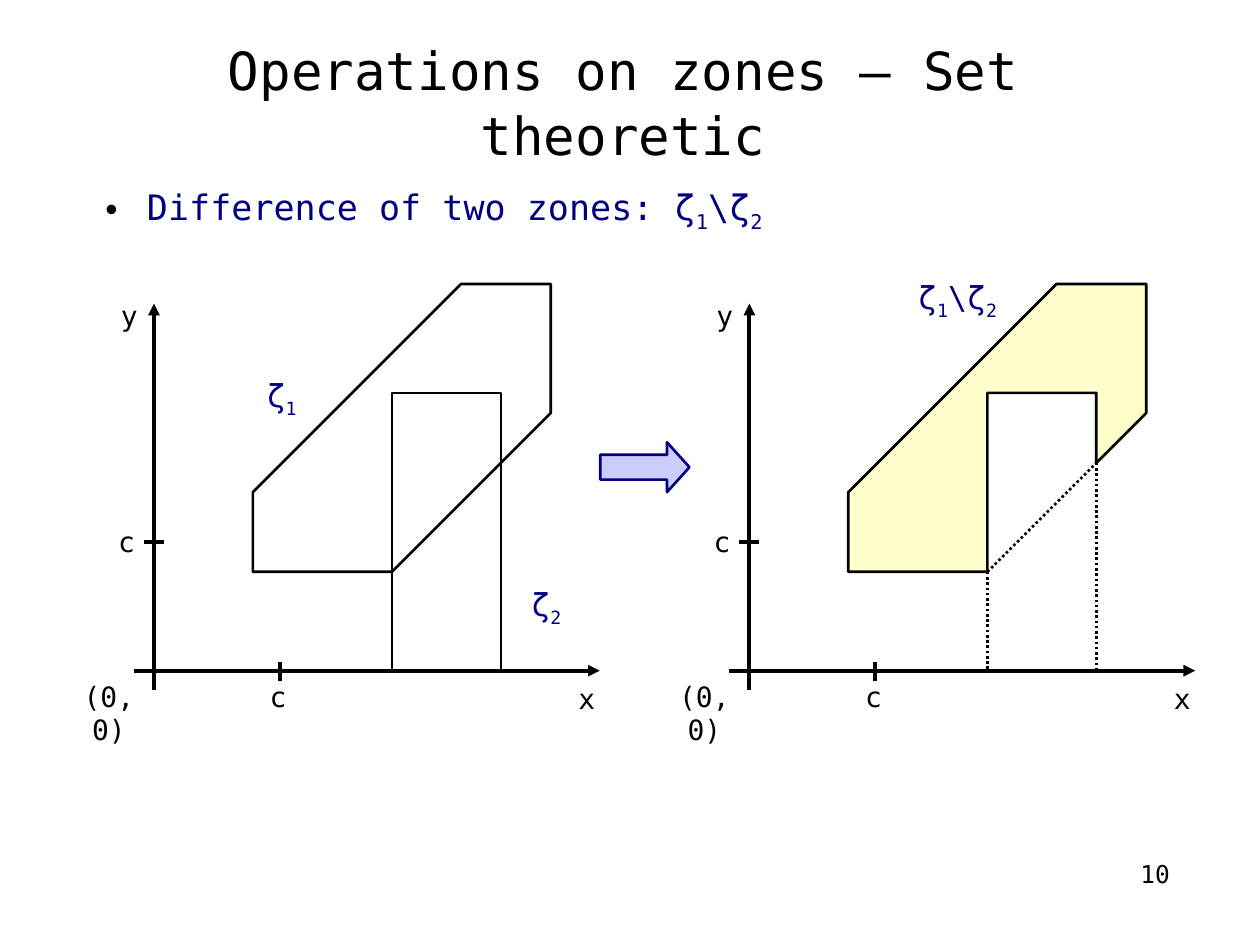
from lxml.etree import SubElement
from pptx import Presentation
from pptx.dml.color import RGBColor
from pptx.enum.dml import MSO_LINE
from pptx.enum.shapes import MSO_CONNECTOR, MSO_SHAPE
from pptx.enum.text import MSO_ANCHOR, MSO_AUTO_SIZE, PP_ALIGN
from pptx.oxml.ns import qn
from pptx.util import Pt

FONT = "DejaVu Sans Mono"
BLACK = RGBColor(0x00, 0x00, 0x00)
NAVY = RGBColor(0x00, 0x00, 0x80)
LILAC = RGBColor(0xCC, 0xCC, 0xFF)
CREAM = RGBColor(0xFF, 0xFF, 0xCC)
PANEL_STEP = 340.25

deck = Presentation()
deck.slide_width, deck.slide_height = Pt(720), Pt(540)
page = deck.slides.add_slide(deck.slide_layouts[1])


def write(paragraph, text, size, color, align):
    """Write text in which every second piece between underscores is a subscript."""
    paragraph.alignment = align
    paragraph.font.name = FONT
    paragraph.font.size = Pt(size)
    paragraph.font.color.rgb = color
    for index, piece in enumerate(text.split("_")):
        span = paragraph.add_run()
        span.text = piece
        if index % 2:
            span.font._element.set("baseline", "-25000")


def draw_line(x1, y1, x2, y2, width=2.25, arrow=False, dotted=False):
    line = page.shapes.add_connector(
        MSO_CONNECTOR.STRAIGHT, Pt(x1), Pt(y1), Pt(x2), Pt(y2))
    line.line.color.rgb = BLACK
    line.line.width = Pt(width)
    if dotted:
        line.line.dash_style = MSO_LINE.ROUND_DOT
    if arrow:
        SubElement(line.line._get_or_add_ln(), qn("a:tailEnd"), type="triangle")
    SubElement(line._element.spPr, qn("a:effectLst"))


title, body = page.shapes.title, page.placeholders[1]
for holder, left, top, width, height in [
    (title, 49, 26.5, 614, 62),
    (body, 52.5, 106, 614, 374.5),
]:
    holder.left, holder.top = Pt(left), Pt(top)
    holder.width, holder.height = Pt(width), Pt(height)
    frame = holder.text_frame
    frame.auto_size = MSO_AUTO_SIZE.NONE
    frame.margin_left = frame.margin_right = frame.margin_top = frame.margin_bottom = 0

title.text_frame.vertical_anchor = MSO_ANCHOR.MIDDLE
heading = title.text_frame.paragraphs[0]
heading.line_spacing = 1.04
write(heading, "Operations on zones – Set theoretic", 30, BLACK, PP_ALIGN.CENTER)

item = body.text_frame.paragraphs[0]
item.space_before = Pt(0)
properties = item._p.get_or_add_pPr()
properties.set("marL", str(Pt(31.5)))
properties.set("indent", str(Pt(-23.75)))
bullet_color = SubElement(properties, qn("a:buClr"))
SubElement(bullet_color, qn("a:srgbClr"), val=str(BLACK))
SubElement(properties, qn("a:buChar"), char="•")
write(item, "Difference of two zones: ζ_1_\\ζ_2", 20, NAVY, PP_ALIGN.LEFT)

labels = [
    ("ζ_1", 121.5, 213, 79, 18, NAVY),
    ("ζ_2", 281, 332.5, 62.5, 18, NAVY),
    ("ζ_1_\\ζ_2", 513.5, 157, 67.5, 18, NAVY),
]
for shift in (0, PANEL_STEP):
    draw_line(shift + 88, 394.5, shift + 88, 173.5, arrow=True)
    draw_line(shift + 76.5, 383.25, shift + 342.75, 383.25, arrow=True)
    draw_line(shift + 82.25, 309.75, shift + 93.75, 309.75)
    draw_line(shift + 160, 389, shift + 160, 378)
    labels += [
        ("(0,0)", shift + 36.75, 384.5, 51, 16, BLACK),
        ("x", shift + 323.5, 386, 22.5, 16, BLACK),
        ("y", shift + 62, 167, 22.5, 16, BLACK),
        ("c", shift + 60.5, 296, 22.5, 16, BLACK),
        ("c", shift + 147, 385, 19.5, 16, BLACK),
    ]

zone_one = [(144.5, 326.75), (144.5, 281.25), (263.5, 162.25),
            (314.75, 162.25), (314.75, 236), (224, 326.75)]
zone_two = [(224, 383.25), (224, 224.5), (286.25, 224.5), (286.25, 383.25)]
notch = [zone_two[1], zone_two[2], (286.25, 264.5)]
difference = notch + zone_one[4:1:-1] + zone_one[1::-1] + zone_one[5:]

for points, shift, closed, color in [
    (zone_two, 0, False, None),
    (zone_one, 0, True, None),
    (difference, PANEL_STEP, True, CREAM),
]:
    corners = [(Pt(x + shift), Pt(y)) for x, y in points]
    builder = page.shapes.build_freeform(*corners[0])
    builder.add_line_segments(corners[1:], close=closed)
    zone = builder.convert_to_shape()
    zone.shadow.inherit = False
    zone.line.color.rgb = BLACK
    zone.line.width = Pt(1.5)
    if color is None:
        zone.fill.background()
    else:
        zone.fill.solid()
        zone.fill.fore_color.rgb = color

left_edge, right_edge = 224 + PANEL_STEP, 286.25 + PANEL_STEP
for ends in [
    (left_edge, 326.75, left_edge, 383.25),
    (right_edge, 264.5, right_edge, 383.25),
    (left_edge, 326.75, right_edge, 264.5),
]:
    draw_line(*ends, width=1.5, dotted=True)

arrow = page.shapes.add_shape(
    MSO_SHAPE.RIGHT_ARROW, Pt(343), Pt(252.75), Pt(51), Pt(28.5))
arrow.adjustments[0], arrow.adjustments[1] = 0.5, 0.45
arrow.shadow.inherit = False
arrow.fill.solid()
arrow.fill.fore_color.rgb = LILAC
arrow.line.color.rgb = NAVY
arrow.line.width = Pt(1.5)

for text, left, top, width, size, color in labels:
    box = page.shapes.add_textbox(Pt(left), Pt(top), Pt(width), Pt(27))
    box.text_frame.word_wrap = True
    box.text_frame.auto_size = MSO_AUTO_SIZE.SHAPE_TO_FIT_TEXT
    paragraph = box.text_frame.paragraphs[0]
    if color == NAVY:
        paragraph.line_spacing = 0.82
    write(paragraph, text, size, color, PP_ALIGN.CENTER)

number = page.shapes.add_textbox(Pt(552.5), Pt(492), Pt(116), Pt(37.5))
frame = number.text_frame
frame.word_wrap = True
frame.margin_left = frame.margin_right = frame.margin_top = frame.margin_bottom = 0
frame.paragraphs[0].line_spacing = 0.96
write(frame.paragraphs[0], "10", 14, BLACK, PP_ALIGN.RIGHT)

deck.save("out.pptx")
